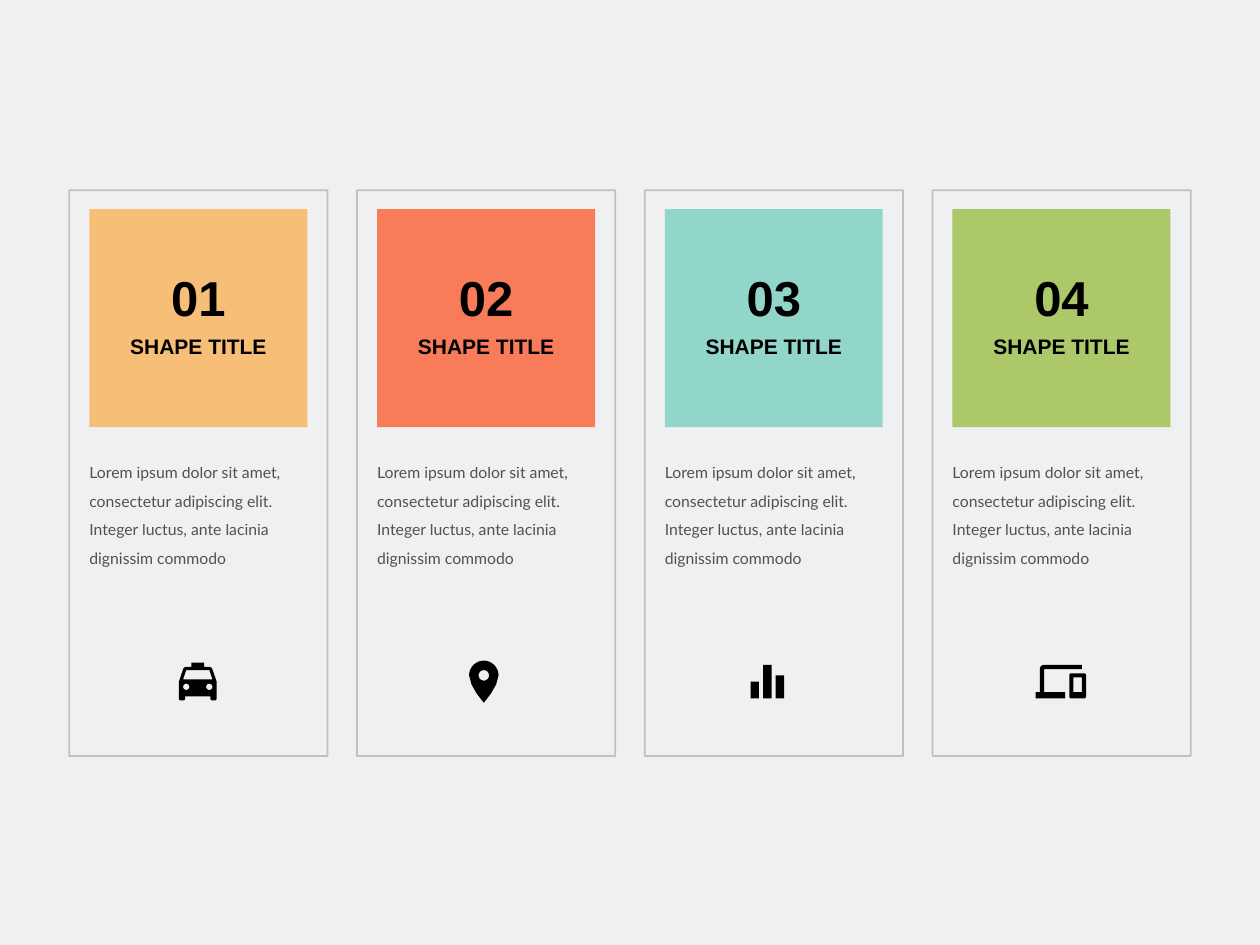
"""Build a slide of four numbered cards, each with a title, a text and an icon."""
import math

from lxml import etree
from pptx import Presentation
from pptx import util as u
from pptx.dml.color import RGBColor
from pptx.enum import shapes, text
from pptx.oxml.ns import qn

BODY = ("Lorem ipsum dolor sit amet, consectetur adipiscing elit. "
        "Integer luctus, ante lacinia dignissim commodo")


def square(x, y, size, radius=0):
    return [(x, y, radius), (x + size, y, radius),
            (x + size, y + size, radius), (x, y + size, radius)]


# Outlines on a 24-unit grid: (x, y) or (x, y, corner radius).
TAXI = [
    [(5.43, 5, 1.1), (9, 5), (9, 3), (15, 3), (15, 5), (18.57, 5, 1.1),
     (21, 12), (21, 21, 1), (18, 21, 1), (18, 19), (6, 19), (6, 21, 1),
     (3, 21, 1), (3, 12)],
    square(5, 13, 3, 1.5),
    square(16, 13, 3, 1.5),
    [(5, 11), (6.5, 6.5), (17.5, 6.5), (19, 11)],
]
PIN = [
    [(5, 9), (5, 2, 7), (19, 2, 7), (19, 9), (17.9, 13.25), (15.5, 17.47),
     (13.1, 20.7), (12, 22), (10.9, 20.7), (8.5, 17.47), (6.1, 13.25)],
    square(9.5, 6.5, 5, 2.5),
]
BARS = [[(x, 20), (x + 4, 20), (x + 4, top), (x, top)]
        for x, top in [(10, 4), (4, 12), (16, 9)]]
DEVICES = [
    [(4, 6), (22, 6), (22, 4), (2, 4, 2), (2, 17), (0, 17), (0, 20),
     (14, 20), (14, 17), (4, 17)],
    [(16, 8, 1), (24, 8, 1), (24, 20, 1), (16, 20, 1)],
    [(18, 10), (22, 10), (22, 17), (18, 17)],
]
CARDS = [
    ("01", "SHAPE TITLE", "F7BE78", TAXI, 1.57),
    ("02", "SHAPE TITLE", "F87C5A", PIN, 3.84),
    ("03", "SHAPE TITLE", "91D6C9", BARS, 6.09),
    ("04", "SHAPE TITLE", "ADC869", DEVICES, 8.42),
]
SLIDE_WIDTH, MARGIN, CARD_WIDTH = 10, 0.55, 2.05
PITCH = (SLIDE_WIDTH - 2 * MARGIN - CARD_WIDTH) / (len(CARDS) - 1)
TILE = 1.73
ICON_SIZE, ICON_MIDDLE = 0.4, 5.41


def paint(fill, color):
    fill.solid()
    fill.fore_color.rgb = RGBColor.from_string(color)


def set_opacity(shape, percent):
    for color in shape.element.iter(qn("a:srgbClr")):
        etree.SubElement(color, qn("a:alpha"), val=str(percent * 1000))


def add_rectangle(slide, *box, fill=None, line=None):
    shape = slide.shapes.add_shape(shapes.MSO_SHAPE.RECTANGLE, *map(u.Inches, box))
    shape.shadow.inherit = False
    if fill:
        paint(shape.fill, fill)
    else:
        shape.fill.background()
    if line:
        paint(shape.line.fill, line)
        shape.line.width = u.Pt(1)
    else:
        shape.line.fill.background()
    return shape


def add_text(slide, words, center, top, width, height, size, font="Arial", label=True):
    shape = slide.shapes.add_textbox(
        *map(u.Inches, (center - width / 2, top, width, height)))
    frame = shape.text_frame
    frame.word_wrap = True
    frame.margin_left = frame.margin_right = frame.margin_top = frame.margin_bottom = 0
    frame.vertical_anchor = text.MSO_ANCHOR.MIDDLE if label else text.MSO_ANCHOR.TOP
    paragraph = frame.paragraphs[0]
    paragraph.text = words
    paragraph.alignment = text.PP_ALIGN.CENTER if label else text.PP_ALIGN.LEFT
    paragraph.font.name, paragraph.font.size = font, u.Pt(size)
    paragraph.font.bold = label
    paint(paragraph.font.fill, "000000")
    return shape


def round_corners(outline, steps=8):
    points = []
    for index, (x, y, *radius) in enumerate(outline):
        if not radius or not radius[0]:
            points.append((x, y))
            continue
        ends = []
        for near in (outline[index - 1], outline[(index + 1) % len(outline)]):
            share = radius[0] / math.dist((x, y), near[:2])
            ends.append((x + (near[0] - x) * share, y + (near[1] - y) * share))
        for step in range(steps + 1):
            t = step / steps
            weights = ((1 - t) ** 2, math.sqrt(2) * t * (1 - t), t ** 2)
            corner = (ends[0], (x, y), ends[1])
            points.append(tuple(
                sum(w * p[axis] for w, p in zip(weights, corner)) / sum(weights)
                for axis in (0, 1)))
    return points


def add_icon(slide, outlines, center):
    def place(point):
        return tuple(u.Inches(middle + (value - 12) * ICON_SIZE / 24)
                     for middle, value in zip((center, ICON_MIDDLE), point))

    contours = [[place(point) for point in round_corners(outline)]
                for outline in outlines]
    builder = slide.shapes.build_freeform(*contours[0][0])
    for index, (start, *others) in enumerate(contours):
        if index:
            builder.move_to(*start)
        builder.add_line_segments(others, close=True)
    shape = builder.convert_to_shape()
    shape.shadow.inherit = False
    paint(shape.fill, "000000")
    shape.line.fill.background()


def main():
    presentation = Presentation()
    presentation.slide_width = u.Inches(SLIDE_WIDTH)
    presentation.slide_height = u.Inches(7.5)
    slide = presentation.slides.add_slide(presentation.slide_layouts[6])
    paint(slide.background.fill, "EEF0F2")
    for index, (number, title, color, icon, icon_center) in enumerate(CARDS):
        left = MARGIN + index * PITCH
        center = left + CARD_WIDTH / 2
        set_opacity(add_rectangle(slide, left, 1.51, CARD_WIDTH, 4.49, line="000000"), 20)
        add_rectangle(slide, center - TILE / 2, 1.66, TILE, TILE, fill=color)
        body = add_text(slide, BODY, center, 3.6, TILE, 0.88, 9, "Lato", label=False)
        body.text_frame.paragraphs[0].line_spacing = 1.5
        body.text_frame.auto_size = text.MSO_AUTO_SIZE.SHAPE_TO_FIT_TEXT
        set_opacity(body, 65)
        add_text(slide, title, center, 2.65, 1.52, 0.2, 12)
        add_text(slide, number, center, 2.12, 0.63, 0.47, 28)
        add_icon(slide, icon, icon_center)
    presentation.save("out.pptx")


if __name__ == "__main__":
    main()
